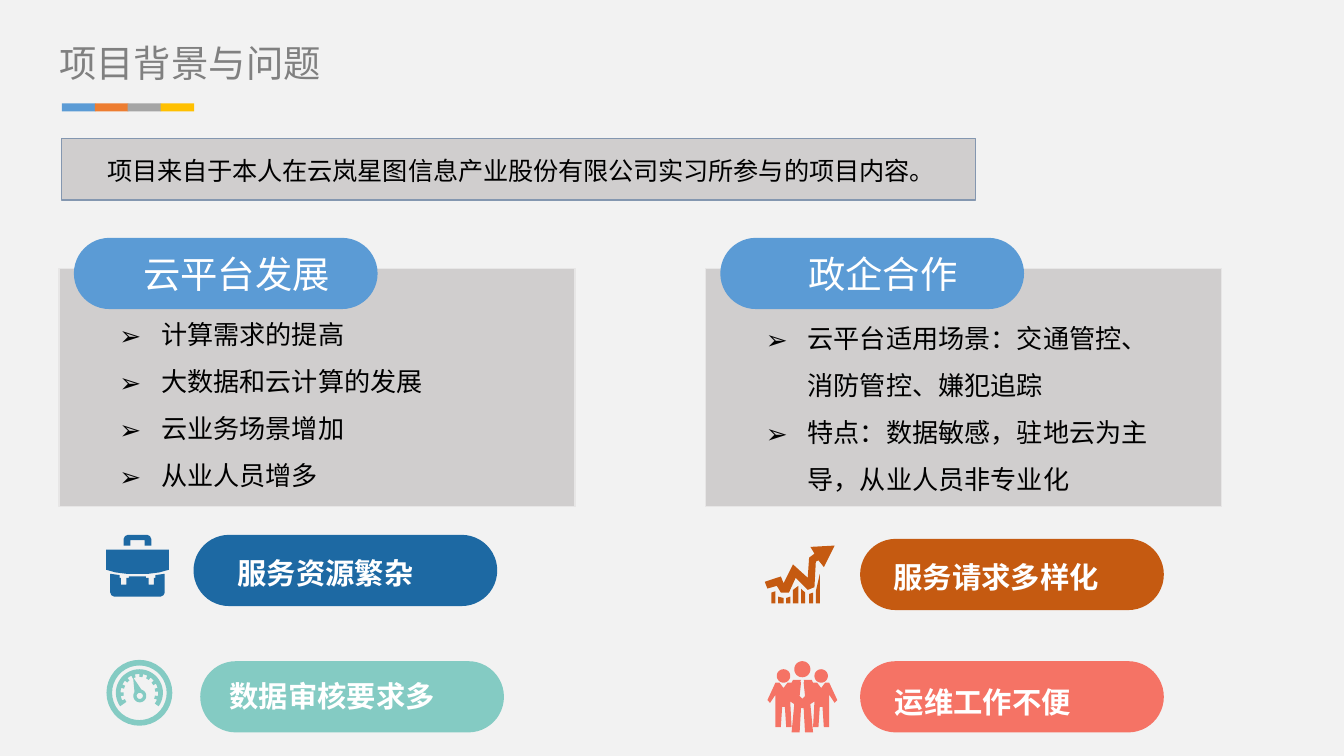
from math import cos, radians, sin

from lxml.etree import SubElement
from pptx import Presentation
from pptx.dml.color import RGBColor
from pptx.enum.shapes import MSO_SHAPE
from pptx.enum.text import PP_ALIGN
from pptx.oxml.ns import qn
from pptx.util import Inches, Pt

FONT = "Noto Sans CJK SC"
BLUE, PANEL, WHITE = "5B9BD5", "D0CECE", "FFFFFF"
NAVY, TEAL, RUST, CORAL = "1D69A3", "84CBC3", "C55A11", "F57365"
PILL_SIZE = (2.26, 0.53)

TITLE = "项目背景与问题"
STRIPES = ["5B9BD5", "ED7D31", "A5A5A5", "FFC000"]
INTRO = "项目来自于本人在云岚星图信息产业股份有限公司实习所参与的项目内容。"

# left edge, heading, bullet box top, bullet box width, bullets
COLUMNS = [
    (0.44, "云平台发展", 2.2, 2.73,
     ["计算需求的提高", "大数据和云计算的发展", "云业务场景增加", "从业人员增多"]),
    (5.25, "政企合作", 2.23, 3.22,
     ["云平台适用场景：交通管控、消防管控、嫌犯追踪",
      "特点：数据敏感，驻地云为主导，从业人员非专业化"]),
]

# label, colour, pill left and top, label left, top and width
PROBLEMS = [
    ("服务资源繁杂", NAVY, (1.44, 3.98), (1.67, 4.08, 1.53)),
    ("数据审核要求多", TEAL, (1.49, 4.92), (1.61, 5.0, 1.75)),
    ("服务请求多样化", RUST, (6.4, 4.01), (6.55, 4.11, 1.75)),
    ("运维工作不便", CORAL, (6.4, 4.92), (6.56, 5.04, 1.53)),
]


def arc(center, radius, start=0, end=360, steps=36):
    """Points along an arc, angles in degrees clockwise from the right."""
    angles = [radians(start + (end - start) * i / steps) for i in range(steps + 1)]
    return [(center[0] + radius * cos(a), center[1] + radius * sin(a)) for a in angles]


def mirror(points, axis):
    return [(2 * axis - x, y) for x, y in reversed(points)]


# Icon contours are in hundredths of an inch on the slide.
def briefcase():
    axis = 102.3
    handle = [(97, 402), (97, 406), (92, 406), (92, 401), (93, 399), (95, 398)]
    flap = [(79, 409), (79, 424), (86, 426), (94, 427)]
    body = [(96, 429), (96, 430), (94, 430), (94, 435), (90, 435), (90, 430),
            (89, 430), (89, 428), (82, 427), (82, 441), (83, 443), (85, 444)]
    return [half + mirror(half, axis) for half in (handle, flap[::-1], body)]


def gauge():
    center, hub = (103.7, 515.5), (104, 517.8)
    dial = arc(center, 17.5, 145, 395)
    teeth = 10
    pitch = 250 / teeth
    for i in range(teeth):
        angle = 395 - i * pitch
        dial += arc(center, 14, angle, angle - pitch * 0.55, 4)
        dial += arc(center, 11.8, angle - pitch * 0.55, angle - pitch, 4)
    needle = [(99, 504)] + arc(hub, 4.8, -75, 215)
    return [arc(center, 24.5), arc(center, 20.3), dial, needle, arc(hub, 2.3)]


def growth():
    trend = [(621, 406), (613, 422), (609, 417), (607, 418), (606, 437), (601, 439),
             (592, 430), (587, 441), (581, 441), (578, 436), (571, 438), (569, 433),
             (581, 429), (583, 434), (590, 420), (601, 430), (602, 415), (606, 412),
             (603, 407)]
    # left, right, top left, top right
    bars = [(574, 577, 441, 440), (579, 583, 444, 445), (585, 588, 445, 444),
            (590, 594, 439, 436), (596, 599, 438, 441), (602, 605, 442, 441),
            (607, 610, 440, 427)]
    return [trend] + [[(left, 449), (left, top_left), (right, top_right), (right, 449)]
                      for left, right, top_left, top_right in bars]


def team():
    axis = 597
    half = [(597, 520), (595, 518), (596, 508), (595.5, 507), (596, 506), (590, 506),
            (589, 508), (586, 508), (583, 512), (580, 508), (577, 508), (571, 521),
            (573, 523), (577, 517), (577, 541), (581, 541), (582, 526), (584, 526),
            (585, 541), (589, 541), (588, 522), (591, 524), (589, 545), (595, 545),
            (596, 527), (597, 527)]
    heads = [((axis, 498), 6), ((axis - 14, 503), 5), ((axis + 14, 503), 5)]
    return [half + mirror(half, axis)] + [arc(*head) for head in heads]


ICONS = [(briefcase, NAVY), (gauge, TEAL), (growth, RUST), (team, CORAL)]


def color(value):
    return RGBColor.from_string(value)


def paint(shape, fill, line=None):
    shape.shadow.inherit = False
    shape.fill.solid()
    shape.fill.fore_color.rgb = color(fill)
    if line:
        shape.line.color.rgb = color(line)
        shape.line.width = Pt(0)
    else:
        shape.line.fill.background()


def add_box(slide, box, fill, line=None, kind=MSO_SHAPE.RECTANGLE):
    shape = slide.shapes.add_shape(kind, *map(Inches, box))
    paint(shape, fill, line)
    return shape


def add_pill(slide, position, fill):
    shape = add_box(slide, position + PILL_SIZE, fill, kind=MSO_SHAPE.ROUNDED_RECTANGLE)
    shape.adjustments[0] = 0.5


def add_icon(slide, contours, fill):
    outlines = [[(Inches(x / 100), Inches(y / 100)) for x, y in contour]
                for contour in contours]
    builder = slide.shapes.build_freeform(*outlines[0][0])
    for index, outline in enumerate(outlines):
        if index:
            builder.move_to(*outline[0])
        builder.add_line_segments(outline[1:], close=True)
    paint(builder.convert_to_shape(), fill)


def add_bullet(paragraph):
    properties = paragraph._p.get_or_add_pPr()
    properties.set("marL", str(Inches(0.31)))
    properties.set("indent", str(-Inches(0.31)))
    SubElement(properties, qn("a:buFont")).set("typeface", FONT)
    SubElement(properties, qn("a:buChar")).set("char", "➢")


def add_text(slide, text, box, size=14, font_color="000000", bold=False,
             align=None, wrap=True, inset=True, bullets=False, fill=None):
    """Add a text box; text is one string or a list of paragraphs."""
    shape = slide.shapes.add_textbox(*map(Inches, box))
    if fill:
        paint(shape, fill)
    frame = shape.text_frame
    frame.word_wrap = wrap
    if not inset:
        frame.margin_left = frame.margin_right = 0
        frame.margin_top = frame.margin_bottom = 0
    lines = [text] if isinstance(text, str) else text
    for index, line in enumerate(lines):
        paragraph = frame.add_paragraph() if index else frame.paragraphs[0]
        paragraph.alignment = align
        if bullets:
            paragraph.line_spacing = 1.5
            add_bullet(paragraph)
        run = paragraph.add_run()
        run.text = line
        run.font.size = Pt(size)
        run.font.bold = bold
        run.font.name = FONT
        run.font.color.rgb = color(font_color)
        SubElement(run.font._element, qn("a:ea")).set("typeface", FONT)


def main():
    presentation = Presentation()
    presentation.slide_width = Inches(10)
    presentation.slide_height = Inches(10 * 9 / 16)
    slide = presentation.slides.add_slide(presentation.slide_layouts[6])
    slide.background.fill.solid()
    slide.background.fill.fore_color.rgb = color("F2F2F2")

    add_text(slide, TITLE, (0.44, 0.3, 2.28, 0.34), size=20, font_color="808080",
             inset=False)
    for index, stripe in enumerate(STRIPES):
        add_box(slide, (0.46 + index * 0.245, 0.77, 0.25, 0.06), stripe)

    for left, heading, top, width, bullets in COLUMNS:
        add_box(slide, (left, 2, 3.84, 1.77), PANEL, "E7E6E6")
        add_pill(slide, (left + 0.11, 1.77), BLUE)
        add_text(slide, heading, (left + 0.35, 1.82, 1.94, 0.44), size=20,
                 font_color=WHITE, align=PP_ALIGN.CENTER)
        add_text(slide, bullets, (left + 0.35, top, width, 1.47), bullets=True)

    add_box(slide, (0.46, 1.03, 6.8, 0.46), PANEL, "8497B0")
    add_text(slide, INTRO, (0.7, 1.11, 6.8, 0.33), size=13.5)

    for label, fill, position, (left, top, width) in PROBLEMS:
        add_pill(slide, position, fill)
        add_text(slide, label, (left, top, width, 0.37), size=15.7, bold=True,
                 font_color=WHITE, wrap=False, fill=fill if fill == RUST else None)
    for icon, fill in ICONS:
        add_icon(slide, icon(), fill)

    presentation.save("out.pptx")


if __name__ == "__main__":
    main()
